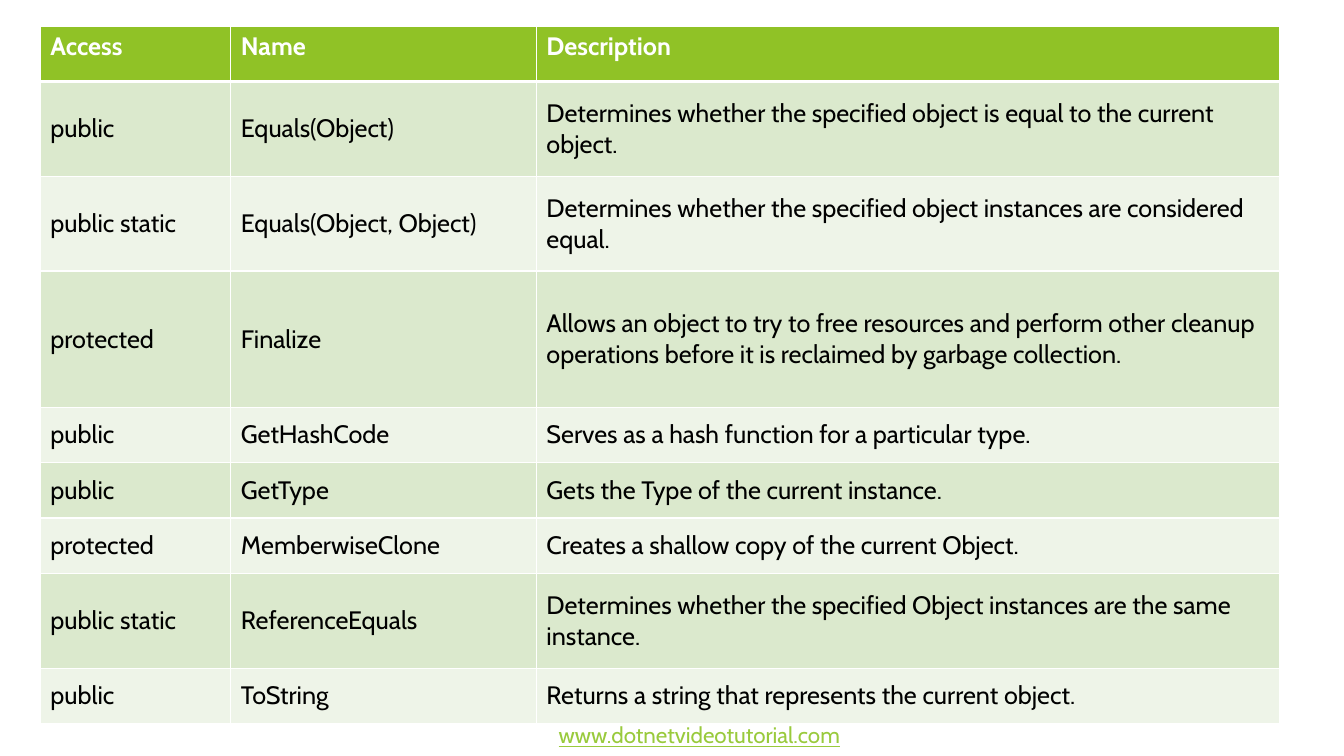
from dataclasses import dataclass

from lxml.etree import SubElement
from pptx import Presentation
from pptx.dml.color import RGBColor as Rgb
from pptx.enum.text import MSO_ANCHOR as Anchor, PP_ALIGN as Align
from pptx.oxml.ns import qn
from pptx.util import Inches, Pt


@dataclass(frozen=True)
class Theme:
    font: str = "Cabin"
    table_size: int = 18
    site_size: int = 16
    header_fill: str = "90C226"
    bands: tuple = ("DBE9CD", "EEF4E8")
    header_text: str = "FFFFFF"
    body_text: str = "000000"
    site_text: str = "99CA3C"
    rule: str = "FFFFFF"
    thin_rule: int = 1
    thick_rule: int = 3


THEME = Theme()
SLIDE_WIDTH, SLIDE_HEIGHT = 13.33, 7.5
LEFT, TOP = 0.4, 0.26
COLUMNS = (1.89, 3.03, 7.37)
SINGLE, DOUBLE, TALL = 0.55, 0.94, 1.35
HEADINGS = ("Access", "Name", "Description")
METHODS = (
    (DOUBLE, "public", "Equals(Object)",
     "Determines whether the specified object is equal to the current object."),
    (DOUBLE, "public static", "Equals(Object, Object)",
     "Determines whether the specified object instances are considered equal."),
    (TALL, "protected", "Finalize",
     "Allows an object to try to free resources and perform other cleanup "
     "operations before it is reclaimed by garbage collection."),
    (SINGLE, "public", "GetHashCode",
     "Serves as a hash function for a particular type."),
    (SINGLE, "public", "GetType", "Gets the Type of the current instance."),
    (SINGLE, "protected", "MemberwiseClone",
     "Creates a shallow copy of the current Object."),
    (DOUBLE, "public static", "ReferenceEquals",
     "Determines whether the specified Object instances are the same instance."),
    (SINGLE, "public", "ToString",
     "Returns a string that represents the current object."),
)


def write(frame, words, size, color, bold=False, underline=False):
    frame.text = words
    font = frame.paragraphs[0].runs[0].font
    font.name, font.size = THEME.font, Pt(size)
    font.bold, font.underline = bold, underline
    font.color.rgb = Rgb.from_string(color)


def rule_cell(cell, top, bottom):
    properties = cell._tc.get_or_add_tcPr()
    widths = {"L": THEME.thin_rule, "R": THEME.thin_rule, "T": top, "B": bottom}
    for side, width in widths.items():
        line = SubElement(properties, qn(f"a:ln{side}"), w=str(Pt(width)))
        SubElement(SubElement(line, qn("a:solidFill")), qn("a:srgbClr"), val=THEME.rule)


def fill_row(table, index, words, fill, color, header=False):
    top = THEME.thick_rule if index == 1 else THEME.thin_rule
    bottom = THEME.thick_rule if header else THEME.thin_rule
    for cell, label in zip(table.rows[index].cells, words):
        rule_cell(cell, top, bottom)
        cell.fill.solid()
        cell.fill.fore_color.rgb = Rgb.from_string(fill)
        cell.vertical_anchor = Anchor.TOP if header else Anchor.MIDDLE
        write(cell.text_frame, label, THEME.table_size, color, bold=header)


def add_method_table(slide):
    heights = [SINGLE] + [method[0] for method in METHODS]
    table = slide.shapes.add_table(
        len(heights), len(COLUMNS), Inches(LEFT), Inches(TOP),
        Inches(sum(COLUMNS)), Inches(sum(heights))).table
    for column, width in zip(table.columns, COLUMNS):
        column.width = Inches(width)
    for row, height in zip(table.rows, heights):
        row.height = Inches(height)
    fill_row(table, 0, HEADINGS, THEME.header_fill, THEME.header_text, header=True)
    for index, (_, *words) in enumerate(METHODS, 1):
        fill_row(table, index, words, THEME.bands[(index - 1) % 2], THEME.body_text)


def add_site_address(slide):
    address = slide.shapes.add_textbox(
        Inches(5.21), Inches(7.11), Inches(3.22), Inches(0.43)).text_frame
    address.word_wrap = True
    write(address, "www.dotnetvideotutorial.com", THEME.site_size,
          THEME.site_text, underline=True)
    address.paragraphs[0].alignment = Align.RIGHT


def main():
    deck = Presentation()
    deck.slide_width, deck.slide_height = Inches(SLIDE_WIDTH), Inches(SLIDE_HEIGHT)
    slide = deck.slides.add_slide(deck.slide_layouts[6])
    add_method_table(slide)
    add_site_address(slide)
    deck.save("out.pptx")


if __name__ == "__main__":
    main()
